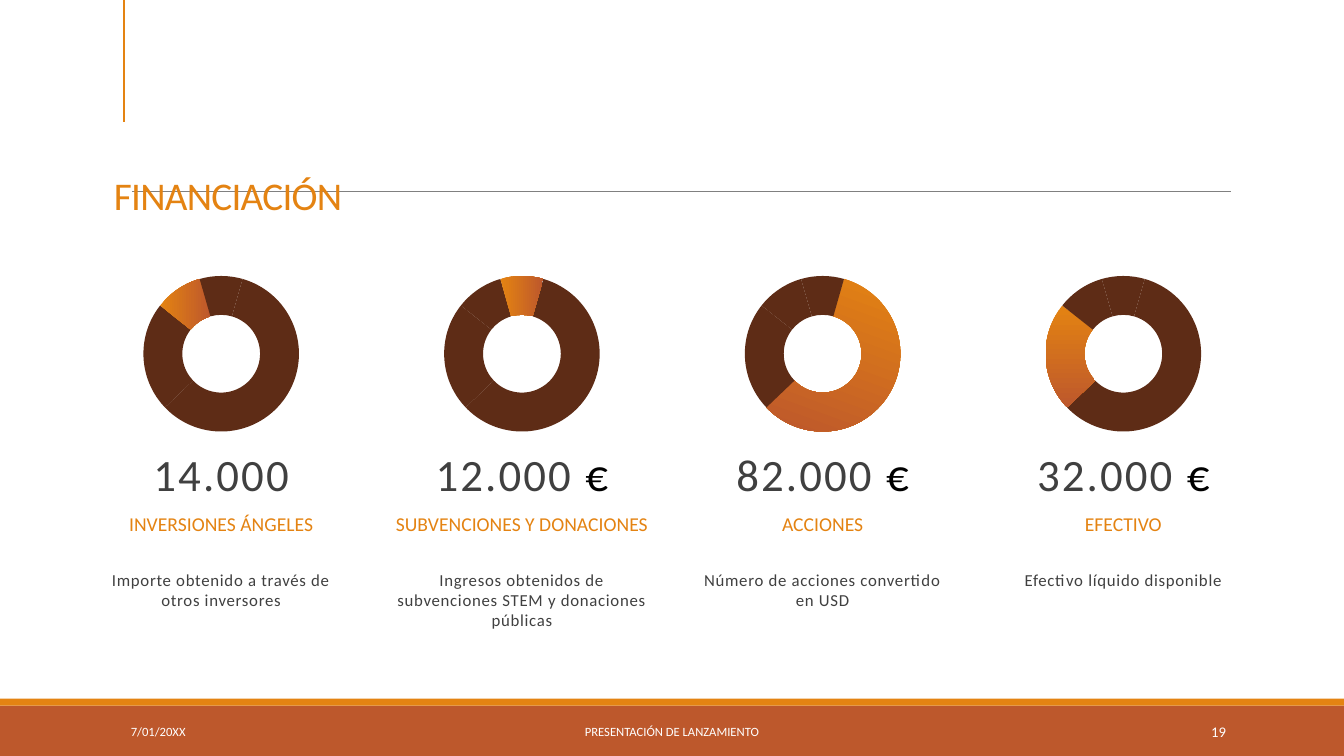
from lxml import etree
from pptx import Presentation
from pptx.chart.data import CategoryChartData
from pptx.dml.color import RGBColor
from pptx.enum.chart import XL_CHART_TYPE as ChartType
from pptx.enum.shapes import MSO_CONNECTOR as Connector, MSO_SHAPE as Shape
from pptx.enum.text import MSO_ANCHOR as Anchor, PP_ALIGN as Align
from pptx.oxml.ns import qn
from pptx.util import Pt

# Content
TITLE = "FINANCIACIÓN"
DATE, FOOTER, NUMBER = "7/01/20XX", "PRESENTACIÓN DE LANZAMIENTO", "19"
# Amount, currency, label, label width, description, highlighted slice, gradient angle
FUNDS = [
    ("14.000", "", "INVERSIONES ÁNGELES", 183.6,
     "Importe obtenido a través de otros inversores", 2, 0),
    ("12.000 ", "€", "SUBVENCIONES Y DONACIONES", 284.4,
     "Ingresos obtenidos de subvenciones STEM y donaciones públicas", 3, 0),
    ("82.000 ", "€", "ACCIONES", 183.6,
     "Número de acciones convertido en USD", 0, 250),
    ("32.000 ", "€", "EFECTIVO", 183.6,
     "Efectivo líquido disponible", 1, 270),
]
CATEGORIES = ["1", "2", "3", "4"]
SHARES = [59, 23, 10, 9]

# Style
FONT = "Calibri"
ORANGE = RGBColor(0xE4, 0x83, 0x12)
RUST = RGBColor(0xBD, 0x58, 0x2C)
BROWN = RGBColor(0x5E, 0x2C, 0x16)
GRAY = RGBColor(0x80, 0x80, 0x80)
DARK = RGBColor(0x40, 0x40, 0x40)
BLACK = RGBColor(0, 0, 0)
WHITE = RGBColor(0xFF, 0xFF, 0xFF)

# Column grid, in points
FIRST_CENTER, PITCH = 158, 214.8
COLUMN_WIDTH = 183.6
CHART_WIDTH, CHART_HEIGHT, CHART_TOP = 146.2, 131, 187.2

presentation = Presentation()
presentation.slide_width, presentation.slide_height = Pt(960), Pt(540)
slide = presentation.slides.add_slide(presentation.slide_layouts[6])


def add_band(top, height, color):
    band = slide.shapes.add_shape(Shape.RECTANGLE, 0, Pt(top), Pt(960), Pt(height))
    band.shadow.inherit = False
    band.fill.solid()
    band.fill.fore_color.rgb = color
    band.line.fill.background()


def add_line(x1, y1, x2, y2, color, width):
    line = slide.shapes.add_connector(Connector.STRAIGHT, Pt(x1), Pt(y1), Pt(x2), Pt(y2))
    line.line.color.rgb = color
    line.line.width = Pt(width)
    etree.SubElement(line._element.spPr, qn("a:effectLst"))


def add_text(box, runs, size, anchor, align=Align.CENTER, insets=(0, 0),
             line_spacing=1.0, spacing=0, space_after=0):
    """Add a text box; runs holds (text, color) pairs."""
    frame = slide.shapes.add_textbox(*(Pt(length) for length in box)).text_frame
    frame.word_wrap = True
    frame.vertical_anchor = anchor
    frame.margin_left, frame.margin_right = (Pt(inset) for inset in insets)
    frame.margin_top = frame.margin_bottom = Pt(3.6)
    paragraph = frame.paragraphs[0]
    paragraph.alignment = align
    paragraph.line_spacing = line_spacing
    paragraph.space_after = Pt(space_after)
    for text, color in runs:
        run = paragraph.add_run()
        run.text = text
        run.font.name, run.font.size = FONT, Pt(size)
        run.font.color.rgb = color
        if spacing:
            run.font._element.set("spc", str(int(spacing * 100)))


def add_doughnut(center, highlight, angle):
    data = CategoryChartData()
    data.categories = CATEGORIES
    data.add_series("Series 1", SHARES)
    chart = slide.shapes.add_chart(
        ChartType.DOUGHNUT, Pt(center - CHART_WIDTH / 2), Pt(CHART_TOP),
        Pt(CHART_WIDTH), Pt(CHART_HEIGHT), data).chart
    chart.has_legend = chart.has_title = False
    chart.font.name, chart.font.size = FONT, Pt(10)
    chart.font.color.rgb = BLACK
    plot = chart.plots[0]
    plot.vary_by_categories = True
    for tag, value in (("c:firstSliceAng", 16), ("c:holeSize", 80)):
        plot._element.find(qn(tag)).set("val", str(value))
    for index in range(len(SHARES)):
        style = plot.series[0].points[index].format
        style.line.fill.background()
        if index == highlight:
            style.fill.gradient()
            style.fill.gradient_angle = angle
            for stop, color in zip(style.fill.gradient_stops, (ORANGE, RUST)):
                stop.color.rgb = color
        else:
            style.fill.solid()
            style.fill.fore_color.rgb = BROWN


# Bands, rules and title
add_band(504, 36, RUST)
add_band(499, 5, ORANGE)
add_line(94.3, 136.8, 879, 136.8, GRAY, 0.5)
add_line(88.6, 0, 88.6, 87.1, ORANGE, 1.5)
add_text((81.4, 87.1, 828, 72.7), [(TITLE, ORANGE)], 28, Anchor.BOTTOM, Align.LEFT,
         insets=(0, 7.2), line_spacing=0.85, spacing=-0.5)

# Footer
for text, left, width, size, align in (
        (DATE, 86.4, 194.4, 9, Align.LEFT),
        (FOOTER, 290.2, 379.4, 9, Align.CENTER),
        (NUMBER, 779.8, 103, 10.5, Align.RIGHT)):
    add_text((left, 508.3, width, 28.8), [(text, WHITE)], size, Anchor.MIDDLE, align,
             insets=(7.2, 7.2))

# One column per fund
for column, (amount, currency, label, label_width, description,
             highlight, angle) in enumerate(FUNDS):
    center = FIRST_CENTER + column * PITCH
    left = center - COLUMN_WIDTH / 2
    amount_runs = [(amount, DARK)] + ([(currency, BLACK)] if currency else [])
    add_text((left, 298, COLUMN_WIDTH, 63.4), amount_runs, 32, Anchor.BOTTOM,
             line_spacing=0.9, spacing=1.5, space_after=2)
    add_text((left, 403.2, COLUMN_WIDTH, 82), [(description, DARK)], 12, Anchor.TOP,
             spacing=0.5, space_after=2)
    add_text((center - label_width / 2, 351.4, label_width, 34.6), [(label, ORANGE)], 14,
             Anchor.BOTTOM, line_spacing=0.9, space_after=2)
    add_doughnut(center, highlight, angle)

presentation.save("out.pptx")
